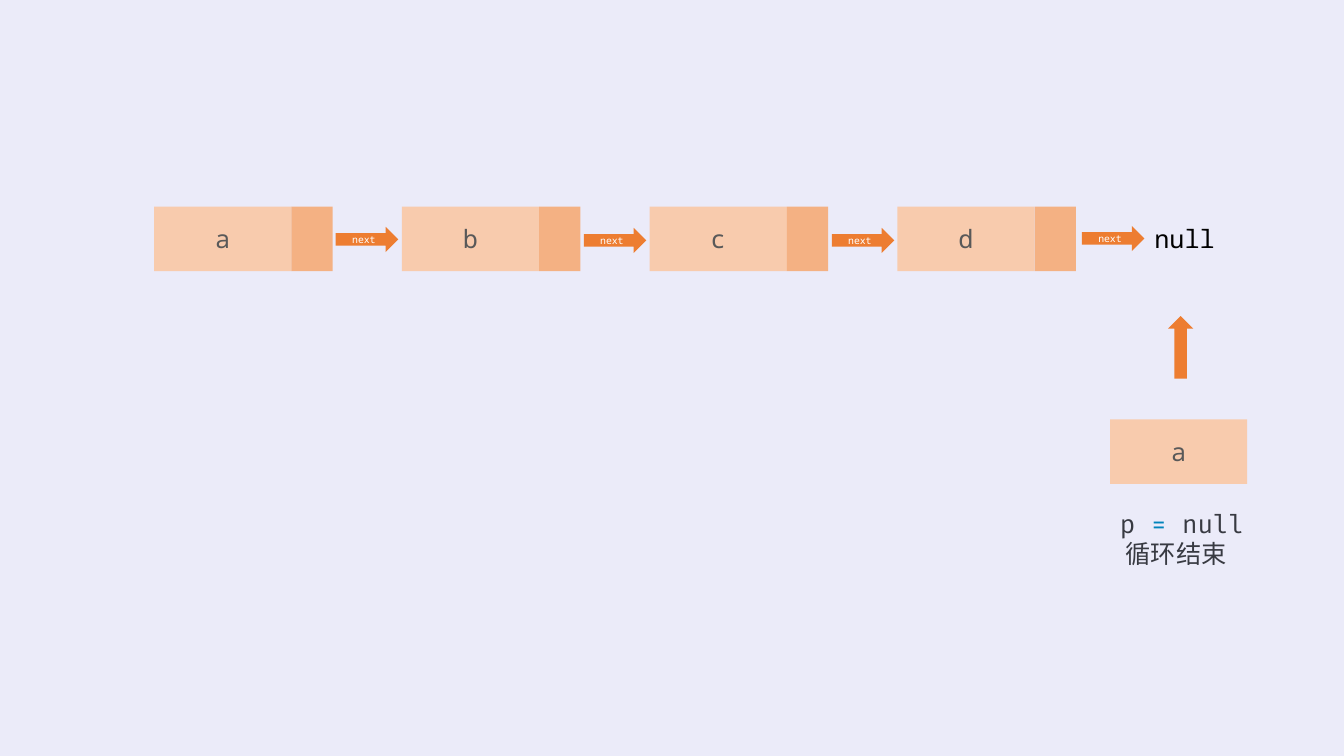
from dataclasses import dataclass

import pptx
import pptx.dml.color
import pptx.enum.shapes
import pptx.enum.text
import pptx.shapes.autoshape
import pptx.slide
import pptx.text.text
import pptx.util

Inches = pptx.util.Inches
SHAPES = pptx.enum.shapes.MSO_SHAPE
ALIGN = pptx.enum.text.PP_ALIGN
ANCHOR = pptx.enum.text.MSO_ANCHOR

MONO, CODE = "Noto Sans Mono", "Fira Code"
BACKGROUND, VALUE_FILL, POINTER_FILL, ARROW_FILL = "EBEBF9", "F8CBAD", "F4B183", "ED7D31"
GREY, BLACK, WHITE, CODE_DARK, CODE_BLUE = "595959", "000000", "FFFFFF", "383A42", "0184BC"

NODE_LEFT, NODE_TOP, NODE_PITCH = 1.53, 2.05, 2.457
VALUE_WIDTH, POINTER_WIDTH, NODE_HEIGHT = 1.36, 0.41, 0.64
ARROW_WIDTH, ARROW_HEIGHT = 0.62, 0.25


@dataclass
class ListNode:
    value: str
    arrow_left: float
    arrow_top: float


NODES = [
    ListNode("a", 3.33, 2.25),
    ListNode("b", 5.79, 2.26),
    ListNode("c", 8.25, 2.26),
    ListNode("d", 10.73, 2.24),
]


def color(value: str) -> pptx.dml.color.RGBColor:
    return pptx.dml.color.RGBColor.from_string(value)


def add_span(para: pptx.text.text._Paragraph, text: str, *, size: float = 18,
             font: str = MONO, ink: str = GREY) -> None:
    span = para.add_run()
    span.text = text
    span.font.size = pptx.util.Pt(size)
    span.font.name = font
    span.font.color.rgb = color(ink)


def add_block(page: pptx.slide.Slide, kind: SHAPES, left: float, top: float, width: float,
              height: float, fill: str) -> pptx.shapes.autoshape.Shape:
    block = page.shapes.add_shape(kind, Inches(left), Inches(top), Inches(width), Inches(height))
    block.shadow.inherit = False
    block.fill.solid()
    block.fill.fore_color.rgb = color(fill)
    block.line.fill.background()
    block.text_frame.vertical_anchor = ANCHOR.MIDDLE
    block.text_frame.paragraphs[0].alignment = ALIGN.CENTER
    return block


def add_value(page: pptx.slide.Slide, left: float, top: float, text: str) -> None:
    block = add_block(page, SHAPES.RECTANGLE, left, top, VALUE_WIDTH, NODE_HEIGHT, VALUE_FILL)
    add_span(block.text_frame.paragraphs[0], text)


def add_arrow(page: pptx.slide.Slide, left: float, top: float) -> pptx.shapes.autoshape.Shape:
    return add_block(page, SHAPES.RIGHT_ARROW, left, top, ARROW_WIDTH, ARROW_HEIGHT, ARROW_FILL)


def add_text_box(page: pptx.slide.Slide, left: float, top: float, width: float,
                 height: float) -> pptx.text.text.TextFrame:
    box = page.shapes.add_textbox(Inches(left), Inches(top), Inches(width), Inches(height))
    box.text_frame.word_wrap = True
    box.text_frame.auto_size = pptx.enum.text.MSO_AUTO_SIZE.SHAPE_TO_FIT_TEXT
    return box.text_frame


def main() -> None:
    deck = pptx.Presentation()
    deck.slide_width, deck.slide_height = Inches(13.33), Inches(7.5)
    page = deck.slides.add_slide(deck.slide_layouts[6])
    page.background.fill.solid()
    page.background.fill.fore_color.rgb = color(BACKGROUND)

    # Linked list: value and pointer cells
    for index, node in enumerate(NODES):
        left = NODE_LEFT + index * NODE_PITCH
        add_value(page, left, NODE_TOP, node.value)
        add_block(page, SHAPES.RECTANGLE, left + VALUE_WIDTH, NODE_TOP,
                  POINTER_WIDTH, NODE_HEIGHT, POINTER_FILL)

    # End of the list
    end = add_text_box(page, 11.35, 2.17, 0.83, 0.4)
    add_span(end.paragraphs[0], "null", ink=BLACK)

    # Links between nodes
    for node in NODES:
        link = add_arrow(page, node.arrow_left, node.arrow_top)
        add_span(link.text_frame.paragraphs[0], "next", size=7, ink=WHITE)

    # Loop state
    state = add_text_box(page, 11.01, 4.99, 1.79, 0.71)
    for text, ink in (("p ", CODE_DARK), ("=", CODE_BLUE), (" null", CODE_DARK)):
        add_span(state.paragraphs[0], text, font=CODE, ink=ink)
    add_span(state.add_paragraph(), " 循环结束", font=CODE, ink=CODE_DARK)

    # Cursor pointing at null
    add_value(page, 11.01, 4.16, "a")
    cursor = add_arrow(page, 11.4, 3.32)
    cursor.rotation = 270

    deck.save("out.pptx")


if __name__ == "__main__":
    main()
